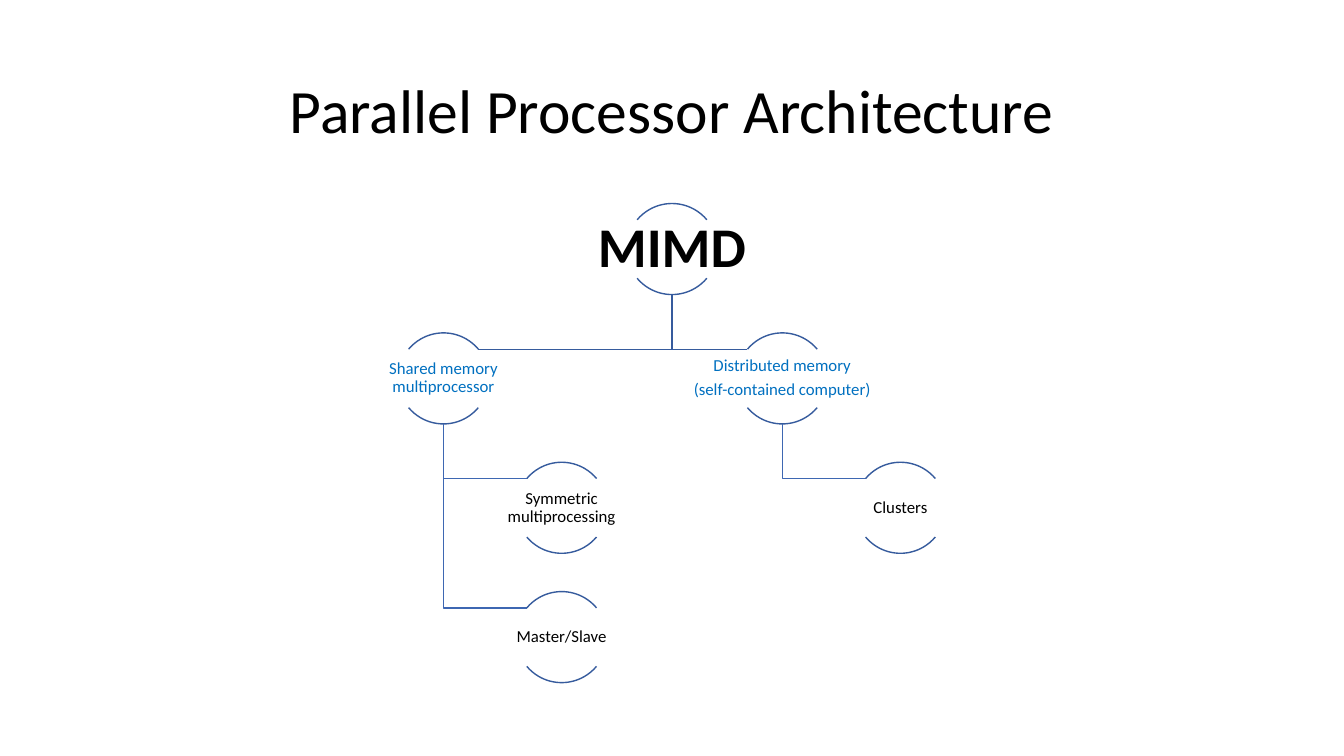
from pptx import Presentation
from pptx.dml.color import RGBColor
from pptx.enum.shapes import MSO_SHAPE
from pptx.enum.text import MSO_ANCHOR, MSO_AUTO_SIZE, PP_ALIGN
from pptx.util import Pt

ARC = MSO_SHAPE.ARC
MIDDLE = MSO_ANCHOR.MIDDLE
CENTER = PP_ALIGN.CENTER
FIXED = MSO_AUTO_SIZE.NONE

COLORS = {"black": "000000", "blue": "0070C0", "arc": "365B9D", "branch": "3E67B2"}
RING = 65
LABEL = (130.4, 41.6)
INSET = 11.7
REACH = 24.9
ROW = 92.4
STEP = 84.4
ARCS = [(132, 192), (24, 84)]

ROOT = {"lines": ["MIMD"], "size": 40, "bold": True, "color": "black", "pad": 2}
TREE = [
    {"x": 163.2, "lines": ["Shared memory multiprocessor"],
     "kids": [["Symmetric multiprocessing"], ["Master/Slave"]]},
    {"x": 405.2, "lines": ["Distributed memory", "(self-contained computer)"],
     "kids": [["Clusters"]]},
]


def rgb(name):
    return RGBColor.from_string(COLORS[name])


def format_all(item, values):
    for name, value in values.items():
        setattr(item, name, value)


def write(frame, lines, size, color, bold=False, pad=1, gap=0.35):
    format_all(frame, {
        "word_wrap": True, "auto_size": FIXED, "vertical_anchor": MIDDLE,
        "margin_left": Pt(pad), "margin_right": Pt(pad),
        "margin_top": Pt(pad), "margin_bottom": Pt(pad),
    })
    frame.text = "\n".join(lines)
    for para in frame.paragraphs:
        format_all(para, {"alignment": CENTER, "line_spacing": 0.9,
                          "space_after": Pt(size * gap)})
        font = para.runs[0].font
        format_all(font, {"name": "Calibri", "size": Pt(size), "bold": bold})
        font.color.rgb = rgb(color)


def outline(shape, color):
    shape.shadow.inherit = False
    shape.fill.background()
    shape.line.color.rgb = rgb(color)
    shape.line.width = Pt(1)


def add_title(slide, box, text):
    title = slide.shapes.title
    format_all(title, dict(zip(("left", "top", "width", "height"), map(Pt, box))))
    write(title.text_frame, [text], 44, "black", pad=4, gap=0)


def add_node(slide, x, y, lines, size=12, color="black", bold=False, pad=1):
    for start, end in ARCS:
        arc = slide.shapes.add_shape(ARC, Pt(x - RING / 2), Pt(y), Pt(RING), Pt(RING))
        arc.adjustments[0] = start
        arc.adjustments[1] = end
        outline(arc, "arc")
    wide, high = LABEL
    label = slide.shapes.add_textbox(Pt(x - wide / 2), Pt(y + INSET), Pt(wide), Pt(high))
    write(label.text_frame, lines, size, color, bold, pad)


def add_link(slide, x, y, kid_x, kid_y, color):
    end_x = kid_x - REACH if kid_x > x else kid_x + REACH
    start_y, end_y = y + RING, kid_y + INSET
    path = slide.shapes.build_freeform(Pt(x), Pt(start_y))
    path.add_line_segments([(Pt(x), Pt(end_y)), (Pt(end_x), Pt(end_y))], close=False)
    outline(path.convert_to_shape(), color)


def add_tree(slide, box):
    left, top, width, _ = box
    mid = left + width / 2
    add_node(slide, mid, top, **ROOT)
    for part in TREE:
        x, y = left + part["x"], top + ROW
        add_link(slide, mid, top, x, y, "arc")
        add_node(slide, x, y, part["lines"], color="blue")
        for index, lines in enumerate(part["kids"], 1):
            kid_x, kid_y = x + STEP, y + index * ROW
            add_link(slide, x, y, kid_x, kid_y, "branch")
            add_node(slide, kid_x, kid_y, lines)


def main():
    deck = Presentation()
    deck.slide_width, deck.slide_height = Pt(960), Pt(540)
    slide = deck.slides.add_slide(deck.slide_layouts[5])
    add_title(slide, (66, 28.8, 828, 104.4), "Parallel Processor Architecture")
    add_tree(slide, (153.6, 145.4, 652.8, 342.2))
    deck.save("out.pptx")


if __name__ == "__main__":
    main()
